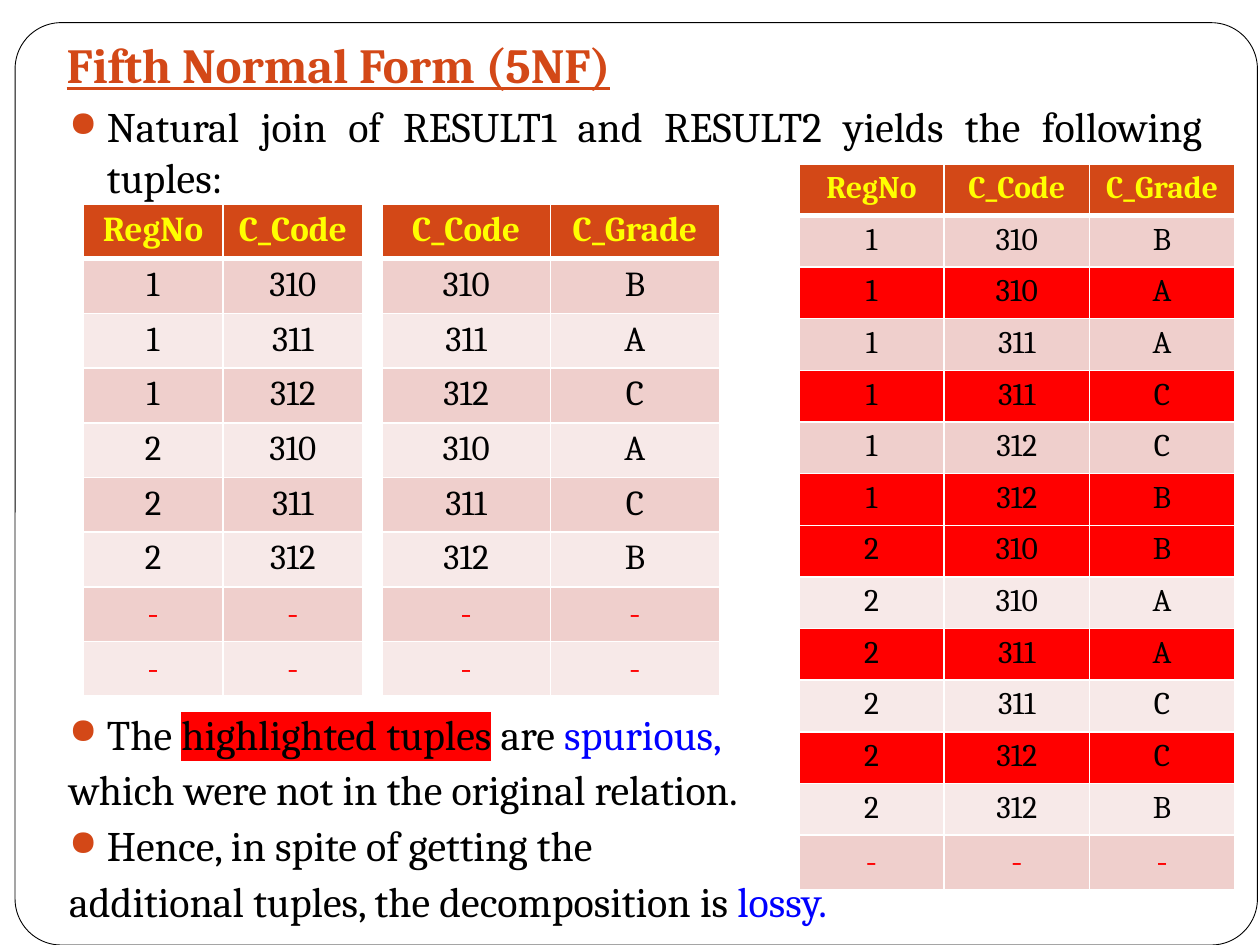
from lxml.etree import SubElement
from pptx import Presentation
from pptx.dml.color import RGBColor
from pptx.enum.shapes import MSO_SHAPE
from pptx.enum.text import MSO_ANCHOR, PP_ALIGN
from pptx.oxml.ns import qn
from pptx.util import Inches, Pt

HUES = {
    "paper": "FFFFFF", "ink": "000000", "rust": "D34817", "gold": "FFFF00",
    "dark": "EFCFCC", "light": "F7E9E8", "red": "FF0000", "blue": "0000FF",
}
FONT = "Cambria"
LEFT = [("1", "310"), ("1", "311"), ("1", "312"),
        ("2", "310"), ("2", "311"), ("2", "312")]
RIGHT = [("310", "B"), ("311", "A"), ("312", "C"),
         ("310", "A"), ("311", "C"), ("312", "B")]
JOIN = [(num, code, grade) for num, code in LEFT
        for key, grade in RIGHT if key == code]
TRUE = [(*a, b[1]) for a, b in zip(LEFT, RIGHT)]
FALSE = [row for row in JOIN if row not in TRUE]


def tint(name):
    return RGBColor.from_string(HUES[name])


def add_run(para, text, size, hue="ink", bold=False, mark=None):
    run = para.add_run()
    run.text = text
    font = run.font
    font.size, font.bold = Pt(size), bold
    font.color.rgb = tint(hue)
    if mark:
        glow = SubElement(run._r.get_or_add_rPr(), qn("a:highlight"))
        SubElement(glow, qn("a:srgbClr"), val=HUES[mark])
    font.name = FONT
    return run


def add_frame(slide, x, y, w, h):
    card = slide.shapes.add_shape(MSO_SHAPE.ROUNDED_RECTANGLE,
                                  Inches(x), Inches(y), Inches(w), Inches(h))
    card.shadow.inherit = False
    card.adjustments[0] = 0.05
    card.fill.solid()
    card.fill.fore_color.rgb = tint("paper")
    card.line.color.rgb = tint("ink")
    card.line.width = Pt(0.5)


def add_box(slide, x, y, w, h):
    box = slide.shapes.add_textbox(Inches(x), Inches(y), Inches(w), Inches(h))
    box.text_frame.word_wrap = True
    return box.text_frame


def add_title(slide, x, y, w, h):
    frame = add_box(slide, x, y, w, h)
    frame.vertical_anchor = MSO_ANCHOR.BOTTOM
    frame.margin_bottom = Inches(0.1)
    run = add_run(frame.paragraphs[0], "Fifth Normal Form (5NF)",
                  28, "rust", True)
    run.font.underline = True


def add_dot(para):
    props = para._p.get_or_add_pPr()
    props.set("marL", str(Inches(0.3)))
    props.set("indent", str(-Inches(0.3)))
    hue = SubElement(props, qn("a:buClr"))
    SubElement(hue, qn("a:srgbClr"), val=HUES["rust"])
    SubElement(props, qn("a:buSzPct"), val="85000")
    SubElement(props, qn("a:buChar"), char="●")


def add_notes(slide, x, y, w, h, lines):
    frame = add_box(slide, x, y, w, h)
    for i, (dot, runs) in enumerate(lines):
        para = frame.add_paragraph() if i else frame.paragraphs[0]
        para.alignment = PP_ALIGN.JUSTIFY
        if i:
            para.space_before = Pt(3)
        if dot:
            add_dot(para)
        for text, *look in runs:
            add_run(para, text, 24, **dict(look))


def add_edge(cell, side, width):
    line = SubElement(cell._tc.get_or_add_tcPr(), qn("a:" + side),
                      w=str(Pt(width)))
    fill = SubElement(line, qn("a:solidFill"))
    SubElement(fill, qn("a:srgbClr"), val=HUES["paper"])


def add_grid(slide, x, y, w, heads, rows, size, blanks):
    count = len(heads)
    body = [heads, *rows, *[("-",) * count] * blanks]
    grid = slide.shapes.add_table(len(body), count, Inches(x), Inches(y),
                                  Inches(w), Inches(0.41) * len(body)).table
    for r, row in enumerate(body):
        head, blank = r == 0, row[0] == "-"
        back = "dark" if r % 2 else "light"
        if head:
            back = "rust"
        elif row in FALSE:
            back = "red"
        hue = "gold" if head else "red" if blank else "ink"
        for c, text in enumerate(row):
            cell = grid.cell(r, c)
            for side in ("lnL", "lnR", "lnT", "lnB"):
                thick = (r, side) in ((0, "lnB"), (1, "lnT"))
                add_edge(cell, side, 3 if thick else 1)
            cell.fill.solid()
            cell.fill.fore_color.rgb = tint(back)
            if blank:
                cell.vertical_anchor = MSO_ANCHOR.MIDDLE
            para = cell.text_frame.paragraphs[0]
            para.alignment = PP_ALIGN.CENTER
            add_run(para, text, 20 if blank else size, hue, head)


def main():
    deck = Presentation()
    deck.slide_width, deck.slide_height = Inches(10), Inches(7.5)
    slide = deck.slides.add_slide(deck.slide_layouts[6])
    add_frame(slide, 0.12, 0.18, 9.86, 7.32)
    add_title(slide, 0.43, 0.29, 7.09, 0.55)
    add_notes(slide, 0.45, 0.75, 9.19, 0.9, [
        (True, [("Natural join of RESULT1 and RESULT2 yields "
                 "the following tuples:",)]),
    ])
    add_notes(slide, 0.45, 5.57, 9.19, 1.85, [
        (True, [("The ",), ("highlighted tuples", ("mark", "red")),
                (" are ",), ("spurious,", ("hue", "blue"))]),
        (False, [("which were not in the original relation.",)]),
        (True, [("Hence, in spite of getting the",)]),
        (False, [("additional tuples, the decomposition is ",),
                 ("lossy.", ("hue", "blue"))]),
    ])
    add_grid(slide, 0.66, 1.62, 2.22, ("RegNo", "C_Code"), LEFT, 20, 2)
    add_grid(slide, 6.34, 1.3, 3.46, ("RegNo", "C_Code", "C_Grade"),
             JOIN, 18, 1)
    add_grid(slide, 3.03, 1.62, 2.68, ("C_Code", "C_Grade"), RIGHT, 20, 2)
    deck.save("out.pptx")


if __name__ == "__main__":
    main()
